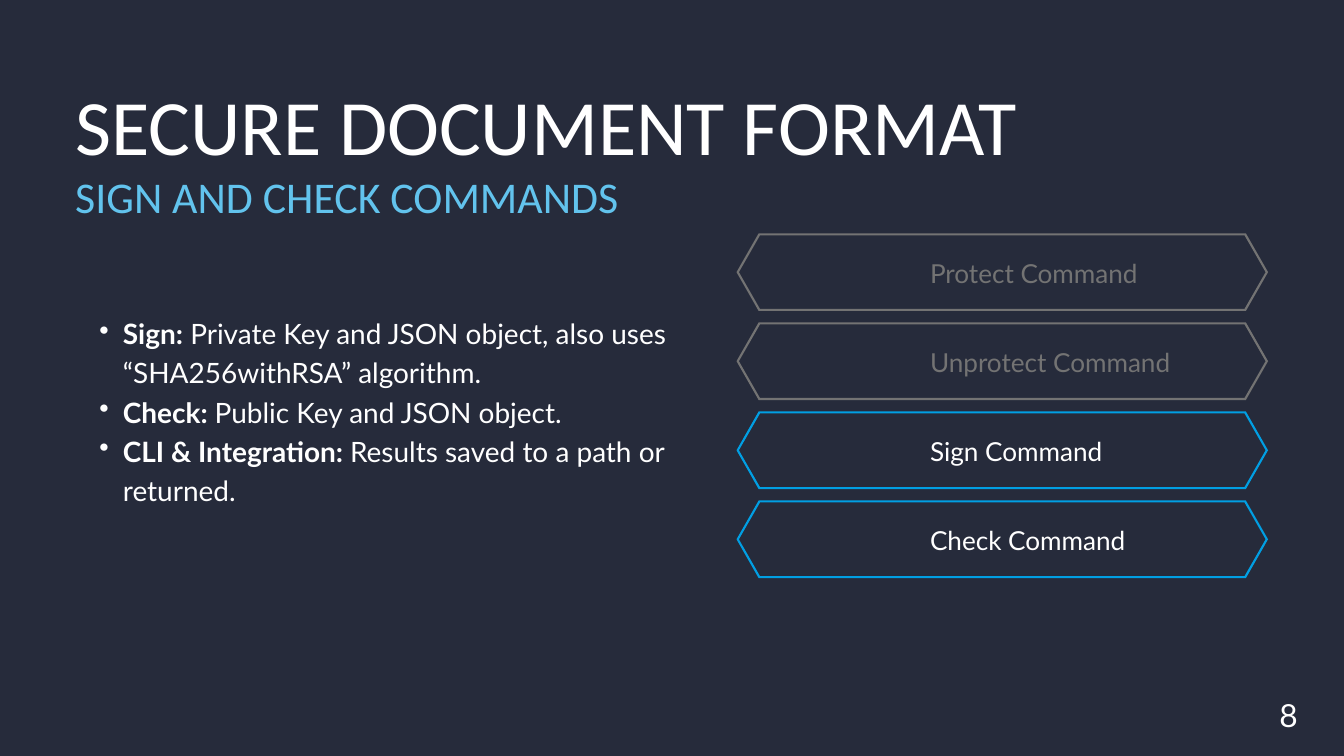
from lxml.etree import SubElement
from pptx import Presentation
from pptx.dml.color import RGBColor
from pptx.enum.text import MSO_AUTO_SIZE, PP_ALIGN
from pptx.oxml.ns import qn
from pptx.util import Inches, Pt

WHITE, GREY, BLUE, SKY, NAVY = "FFFFFF", "737373", "019FE3", "62C3ED", "262B3B"

presentation = Presentation()
presentation.slide_width = Inches(20)
presentation.slide_height = Inches(11.25)
column = presentation.slide_width / 100
row = presentation.slide_height / 100
slide = presentation.slides.add_slide(presentation.slide_layouts[6])
slide.background.fill.solid()
slide.background.fill.fore_color.rgb = RGBColor.from_string(NAVY)


def add_text(left, top, width, height, lines):
    box = slide.shapes.add_textbox(
        int(left * column), int(top * row), int(width * column), int(height * row)
    )
    frame = box.text_frame
    frame.word_wrap = True
    frame.auto_size = MSO_AUTO_SIZE.SHAPE_TO_FIT_TEXT
    frame.margin_left = frame.margin_top = frame.margin_right = frame.margin_bottom = 0
    frame.text = "\n".join(line[0] for line in lines)
    for paragraph, (_, font, size, color, spacing) in zip(frame.paragraphs, lines):
        paragraph.line_spacing = Pt(spacing)
        style(paragraph.runs[0], font, size, color)
    return frame


def style(run, font, size, color, bold=False):
    run.font.name = font
    run.font.size = Pt(size)
    run.font.bold = bold
    run.font.color.rgb = RGBColor.from_string(color)


commands = [
    ("Protect Command", GREY, GREY),
    ("Unprotect Command", GREY, GREY),
    ("Sign Command", BLUE, WHITE),
    ("Check Command", BLUE, WHITE),
]
left, right, half_height, pitch = 54.8, 94.35, 5.14, 11.78
for index, (label, outline, color) in enumerate(commands):
    middle = 36 + index * pitch
    contours = []
    for tip, corner, rise in ((0, 1.65, half_height), (0.18, 1.75, half_height - 0.27)):
        contours.append([
            (int(x * column), int(y * row))
            for x, y in (
                (right - corner, middle - rise),
                (left + corner, middle - rise),
                (left + tip, middle),
                (left + corner, middle + rise),
                (right - corner, middle + rise),
                (right - tip, middle),
            )
        ])
    outer, inner = contours
    inner.reverse()
    builder = slide.shapes.build_freeform(*outer[0])
    builder.add_line_segments(outer[1:], close=True)
    builder.move_to(*inner[0])
    builder.add_line_segments(inner[1:], close=True)
    hexagon = builder.convert_to_shape()
    hexagon.shadow.inherit = False
    hexagon.fill.solid()
    hexagon.fill.fore_color.rgb = RGBColor.from_string(outline)
    hexagon.line.fill.background()
    add_text(69.2, middle - 2.65, 20, 4.8, [(label, "Lato", 28, color, 39.2)])

add_text(5.6, 10.76, 74.15, 18.58, [
    ("SECURE DOCUMENT FORMAT", "Calibri", 84, WHITE, 96.6),
    ("SIGN AND CHECK COMMANDS", "Calibri", 47, SKY, 54),
])

points = [
    ("Sign:", " Private Key and JSON object, also uses “SHA256withRSA” algorithm."),
    ("Check: ", "Public Key and JSON object."),
    ("CLI & Integration: ", "Results saved to a path or returned."),
]
bullets = add_text(5.6, 41.16, 46.5, 25.87, [(term, "Lato", 30, WHITE, 42) for term, _ in points])
for paragraph, (_, detail) in zip(bullets.paragraphs, points):
    paragraph.level = 1
    paragraph.runs[0].font.bold = True
    style(paragraph.add_run(), "Lato", 30, WHITE)
    paragraph.runs[1].text = detail
    properties = paragraph._p.get_or_add_pPr()
    properties.set("marL", str(int(3.55 * column)))
    properties.set("indent", str(int(-1.75 * column)))
    SubElement(properties, qn("a:buChar")).set("char", "•")

number = add_text(95.2, 91.2, 1.35, 5.6, [("8", "Lato", 34, WHITE, 47.6)])
number.paragraphs[0].alignment = PP_ALIGN.CENTER

presentation.save("out.pptx")
